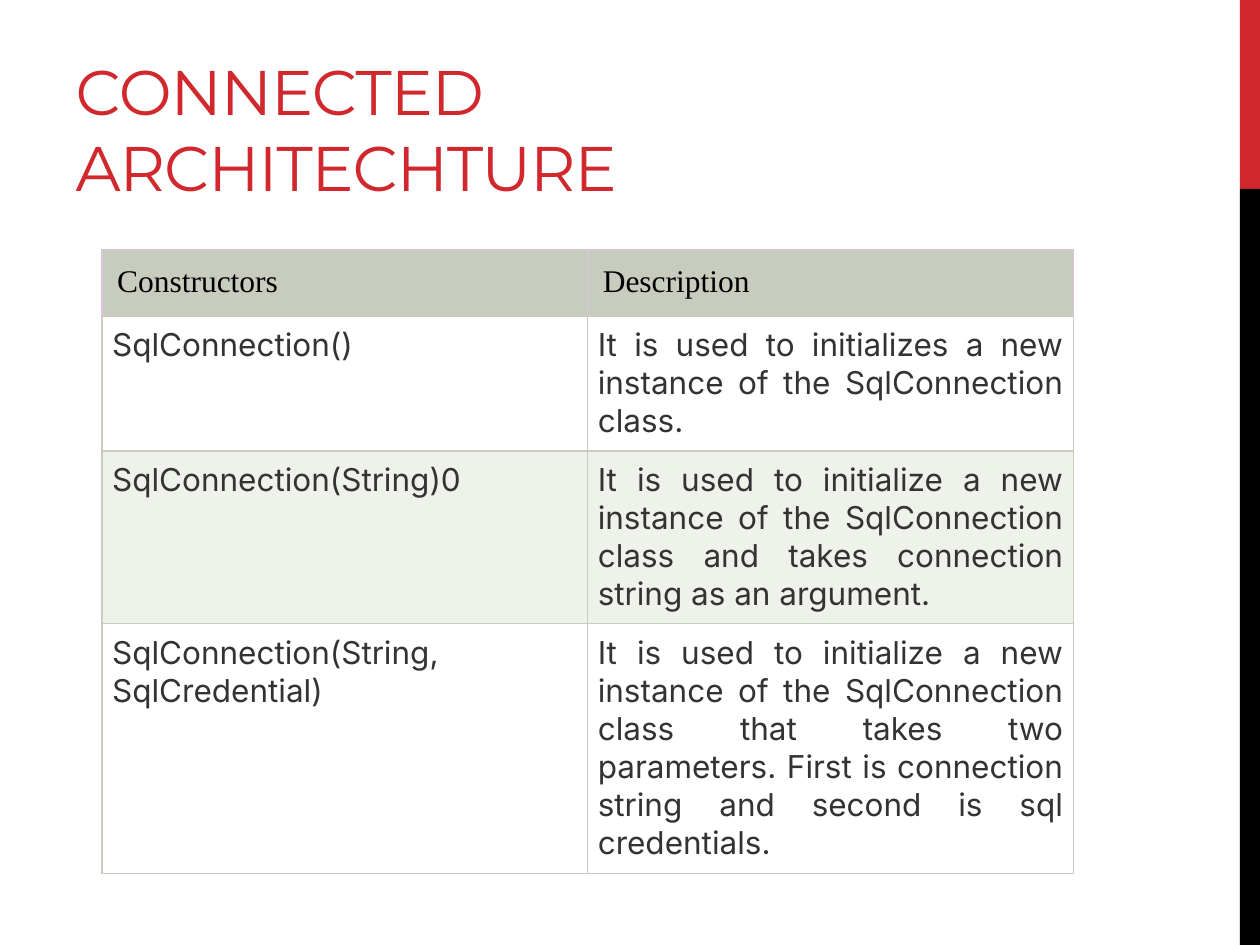
"""Build the slide on connected architecture with its table of constructors."""
from lxml import etree
from pptx import Presentation
from pptx import util as u
from pptx.dml.color import RGBColor
from pptx.enum import shapes, text
from pptx.oxml.ns import qn

TITLE = "CONNECTED ARCHITECHTURE"
ROWS = [
    ("Constructors", "Description"),
    ("SqlConnection()",
     "It is used to initializes a new instance of the SqlConnection class."),
    ("SqlConnection(String)0",
     "It is used to initialize a new instance of the SqlConnection class "
     "and takes connection string as an argument."),
    ("SqlConnection(String, SqlCredential)",
     "It is used to initialize a new instance of the SqlConnection class "
     "that takes two parameters. First is connection string and second is "
     "sql credentials."),
]
ROW_HEIGHTS = [0.53, 1.07, 1.37, 1.98]
RED, BLACK, GREY = "D1282E", "000000", "333333"
SAGE, PALE, WHITE, LILAC = "C7CCBE", "EFF1EB", "FFFFFF", "E0C2E1"
W, H = 10, 7.5
BAR_W, RED_SHARE = 0.16, 0.2
TABLE_X, TABLE_Y, TABLE_W = 0.81, 1.98, 7.71


def rgb(value):
    """Turn a hex string into a colour."""
    return RGBColor.from_string(value)


def write(tf, content, size=18, font="Inter", color=GREY, align=text.PP_ALIGN.LEFT, spacing=0):
    """Put one formatted paragraph into a text frame."""
    p = tf.paragraphs[0]
    p.alignment = align
    r = p.add_run()
    r.text = content
    r.font.size, r.font.name, r.font.bold = u.Pt(size), font, False
    r.font.color.rgb = rgb(color)
    if spacing:
        r.font._element.set("spc", str(round(spacing * 100)))


def add_bar(s, top, height, color):
    """Add one part of the band along the right edge."""
    sp = s.shapes.add_shape(shapes.MSO_SHAPE.RECTANGLE, u.Inches(W - BAR_W),
                            u.Inches(top), u.Inches(BAR_W), u.Inches(height))
    sp.shadow.inherit = False
    sp.fill.solid()
    sp.fill.fore_color.rgb = rgb(color)
    sp.line.fill.background()


def set_borders(cell, colors):
    """Draw the left, right, top and bottom borders of a cell."""
    tc_pr = cell._tc.get_or_add_tcPr()
    for i, (side, color) in enumerate(zip("LRTB", colors)):
        ln = etree.Element(qn(f"a:ln{side}"), w=str(u.Pt(0.75)))
        fill = etree.SubElement(ln, qn("a:solidFill"))
        etree.SubElement(fill, qn("a:srgbClr"), val=color)
        tc_pr.insert(i, ln)


def style_cell(cell, content, row):
    """Fill, frame and write one table cell."""
    header = row == 0
    margin = u.Inches(0.12 if header else 0.08)
    cell.margin_left = cell.margin_right = margin
    cell.margin_top = cell.margin_bottom = margin
    cell.fill.solid()
    cell.fill.fore_color.rgb = rgb(SAGE if header else (PALE, WHITE)[row % 2])
    set_borders(cell, [LILAC] * 3 + [SAGE] if header else [SAGE] * 4)
    if header:
        write(cell.text_frame, content, font="Times New Roman", color=BLACK)
    else:
        write(cell.text_frame, content, align=text.PP_ALIGN.JUSTIFY)


def add_title(s):
    """Place and format the title placeholder."""
    sp = s.shapes.title
    sp.left, sp.top, sp.width, sp.height = map(u.Inches, (0.5, 0.17, 6.33, 1.5))
    tf = sp.text_frame
    tf.word_wrap = True
    tf.auto_size = text.MSO_AUTO_SIZE.NONE
    tf.vertical_anchor = text.MSO_ANCHOR.BOTTOM
    write(tf, TITLE, size=36, font="Montserrat", color=RED, spacing=-0.6)


def add_constructors(s):
    """Add the table of constructors."""
    box = map(u.Inches, (TABLE_X, TABLE_Y, TABLE_W, sum(ROW_HEIGHTS)))
    table = s.shapes.add_table(len(ROWS), len(ROWS[0]), *box).table
    for i, (row, height) in enumerate(zip(ROWS, ROW_HEIGHTS)):
        table.rows[i].height = u.Inches(height)
        for j, content in enumerate(row):
            style_cell(table.cell(i, j), content, i)


def main():
    """Build and save the slide."""
    prs = Presentation()
    prs.slide_width, prs.slide_height = u.Inches(W), u.Inches(H)
    s = prs.slides.add_slide(prs.slide_layouts[5])
    split = H * RED_SHARE
    add_bar(s, 0, split, RED)
    add_bar(s, split, H - split, BLACK)
    add_title(s)
    add_constructors(s)
    prs.save("out.pptx")


if __name__ == "__main__":
    main()
